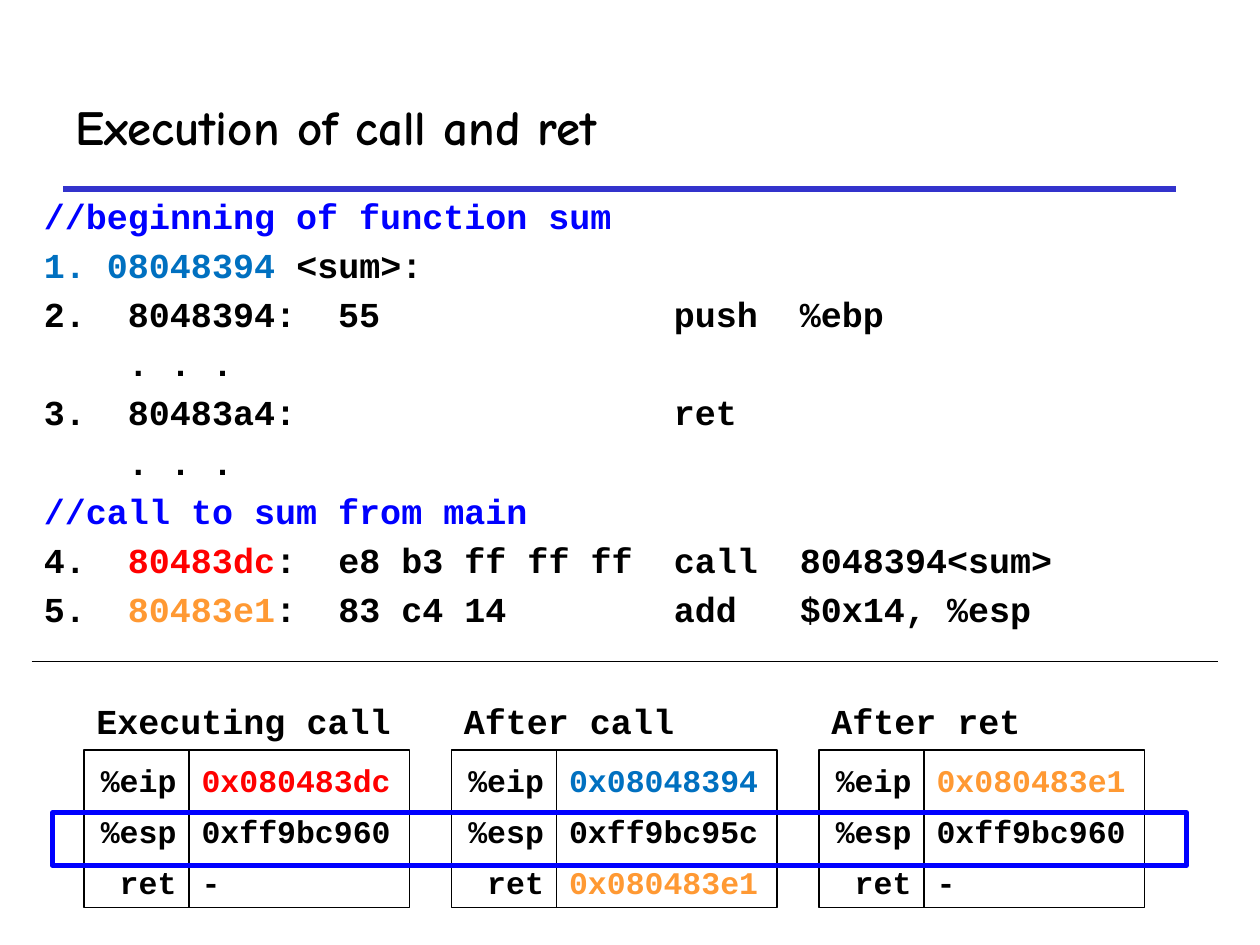
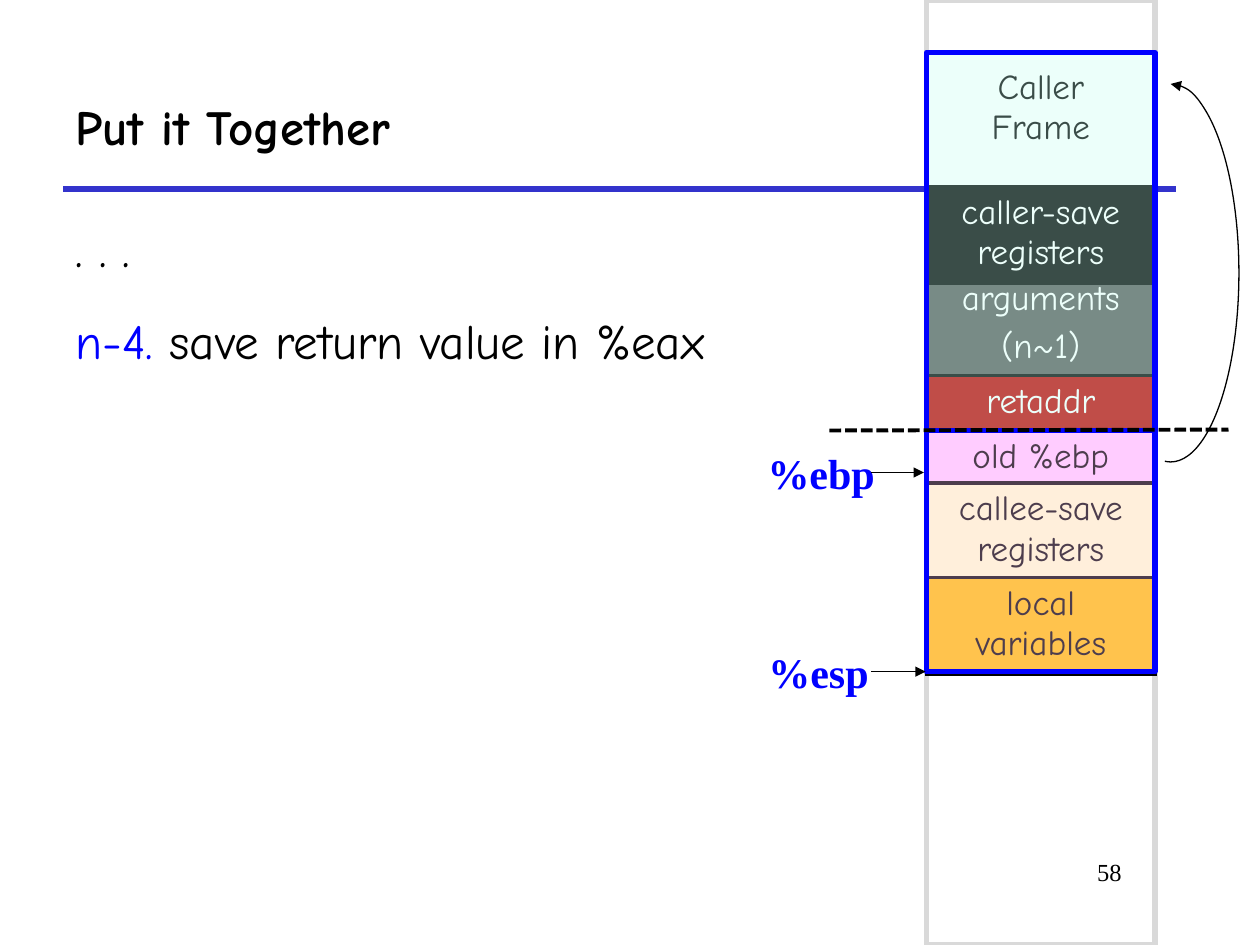
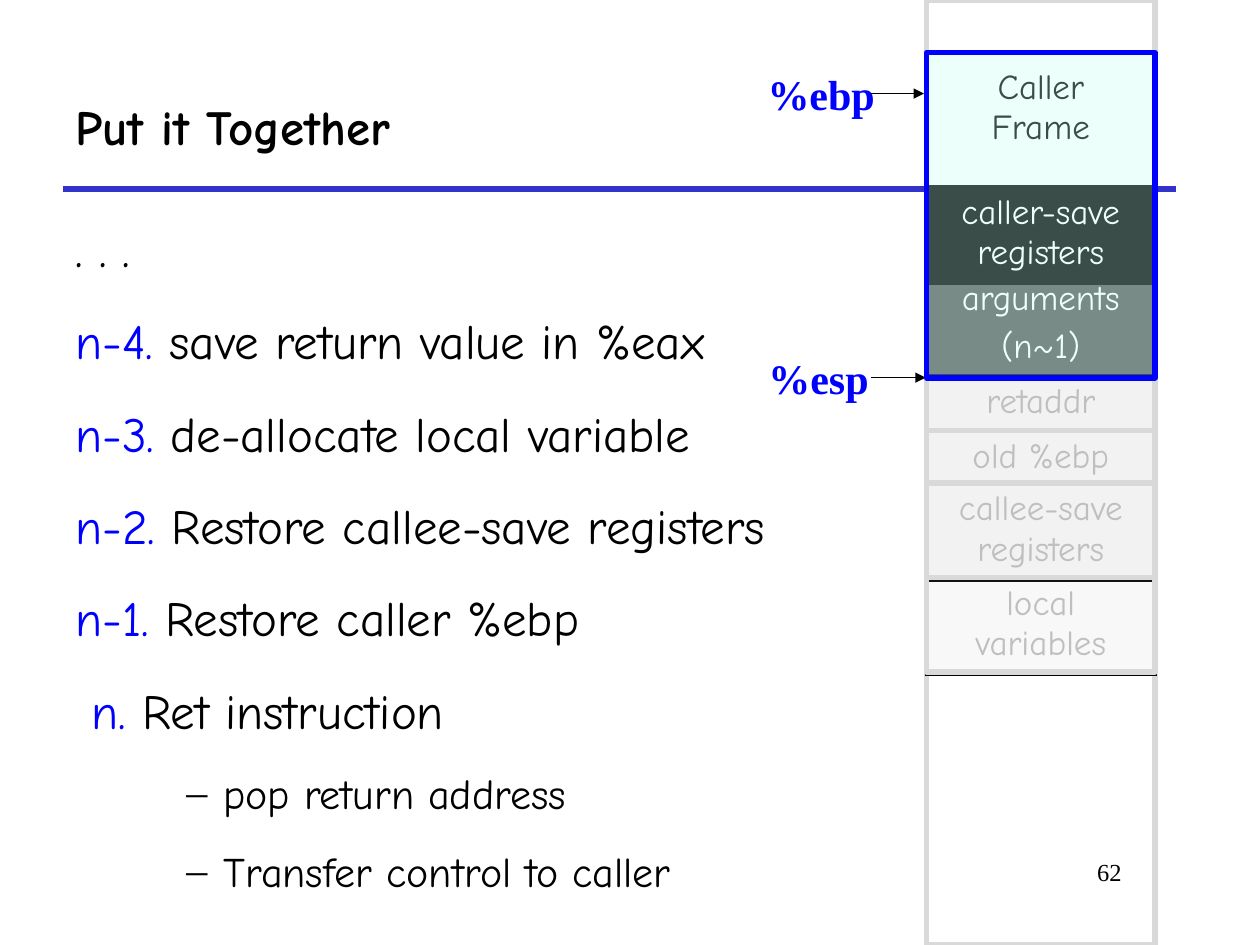
import pptx
import pptx.dml.color
import pptx.enum.dml
import pptx.enum.shapes
import pptx.enum.text
import pptx.oxml
import pptx.oxml.ns
import pptx.util
from lxml import etree

Pt = pptx.util.Pt
RGBColor = pptx.dml.color.RGBColor
ALIGN = pptx.enum.text.PP_ALIGN
ANCHOR = pptx.enum.text.MSO_ANCHOR
SHAPE = pptx.enum.shapes.MSO_SHAPE
qn = pptx.oxml.ns.qn

BLACK = RGBColor(0x00, 0x00, 0x00)
WHITE = RGBColor(0xFF, 0xFF, 0xFF)
RULE = RGBColor(0x33, 0x33, 0xCC)
BLUE = RGBColor(0x00, 0x00, 0xFF)
SKY = RGBColor(0x00, 0x70, 0xC0)
RED = RGBColor(0xFF, 0x00, 0x00)
ORANGE = RGBColor(0xFF, 0x99, 0x33)
RAIL = RGBColor(0xD9, 0xD9, 0xD9)
MINT = RGBColor(0xC2, 0xFF, 0xF0)
PINK = RGBColor(0xFF, 0xCC, 0xFF)
CREAM = RGBColor(0xFF, 0xFF, 0xCC)
AMBER = RGBColor(0xFF, 0xC0, 0x00)
BRICK = RGBColor(0xC0, 0x00, 0x00)
DARK_GRAY = RGBColor(0x59, 0x59, 0x59)
PALE = RGBColor(0xF2, 0xF2, 0xF2)
FADED = RGBColor(0xBF, 0xBF, 0xBF)

COMIC, MONO, SERIF = "Comic Neue", "Courier New", "Times New Roman"

# Slide 1: code listing as (line number, spans)
CODE = [
    (None, [("//beginning of function sum", BLUE)]),
    (1, [("08048394", SKY), (" <sum>:", BLACK)]),
    (2, [(" 8048394:  55\t\t\tpush\t%ebp", BLACK)]),
    (None, [("    . . .", BLACK)]),
    (3, [(" 80483a4:\t\t\tret", BLACK)]),
    (None, [("    . . .", BLACK)]),
    (None, [("//call to sum from main", BLUE)]),
    (4, [(" ", BLACK), ("80483dc", RED),
         (":  e8 b3 ff ff ff \tcall\t8048394<sum>", BLACK)]),
    (5, [(" ", BLACK), ("80483e1", ORANGE),
         (":  83 c4 14\t\tadd\t$0x14, %esp", BLACK)]),
]

# Slide 1: register values at each moment
REGISTERS = ["%eip", "%esp", "ret"]
MOMENTS = [
    ("Executing call", [("0x080483dc", RED), ("0xff9bc960", BLACK), ("-", BLACK)]),
    ("After call", [("0x08048394", SKY), ("0xff9bc95c", BLACK), ("0x080483e1", ORANGE)]),
    ("After ret", [("0x080483e1", ORANGE), ("0xff9bc960", BLACK), ("-", BLACK)]),
]

# Slides 2 and 3: steps as (label, text); without a label the text stands alone
STEPS = [
    ("", ". . ."),
    ("n-4. ", "save return value in %eax"),
    ("n-3. ", "de-allocate local variable"),
    ("n-2. ", "Restore callee-save registers"),
    ("n-1. ", "Restore caller %ebp"),
    ("n. ", "Ret instruction"),
]
RET_DETAILS = ["pop return address", "Transfer control to caller"]

# Stack cells, back to front: text lines, top, height, fill, font colour
CALLER_CELLS = [
    (["arguments", "(n~1)"], 156, 60, DARK_GRAY, WHITE),
    (["caller-save registers"], 106.5, 55.5, BLACK, WHITE),
    (["Caller\nFrame"], 30, 216, None, BLACK),
]
CALLEE_CELLS = [
    (["old %ebp"], 246, 31, PINK, BLACK),
    (["retaddr"], 214.5, 31, BRICK, WHITE),
    (["callee-save registers"], 276, 55.5, CREAM, BLACK),
    (["local variables"], 330, 55.5, AMBER, BLACK),
]
RELEASED_FRAMES = [(330, 54), (276, 54), (246, 30), (216, 30)]
STACK_LEFT, STACK_WIDTH = 529.5, 130.5


def format_runs(para, font, size, color, bold=False):
    for span in para.runs:
        span.font.name = font
        span.font.size = Pt(size)
        span.font.bold = bold
        span.font.color.rgb = color


def add_spans(para, spans, font, size, bold=False):
    for text, color in spans:
        span = para.add_run()
        span.text = text
        span.font.name, span.font.size, span.font.bold = font, Pt(size), bold
        span.font.color.rgb = color


def add_bullet(para, left, hanging, tag, font=None, **attributes):
    props = para._p.get_or_add_pPr()
    props.set("marL", str(Pt(left)))
    props.set("indent", str(Pt(-hanging)))
    if font:
        etree.SubElement(props, qn("a:buFont"), typeface=font)
    etree.SubElement(props, qn(tag), **attributes)


def add_box(page, left, top, width, height):
    box = page.shapes.add_textbox(Pt(left), Pt(top), Pt(width), Pt(height))
    box.text_frame.word_wrap = True
    return box.text_frame


def add_label(page, text, place, font, size, color=BLACK, bold=True):
    frame = add_box(page, *place)
    frame.text = text
    format_runs(frame.paragraphs[0], font, size, color, bold)
    return frame


def set_alpha(element, percent):
    fill_color = list(element.iter(qn("a:srgbClr")))[-1]
    etree.SubElement(fill_color, qn("a:alpha"), val=str(percent * 1000))


def add_frame(page, left, top, width, height, color, weight, tint=None, kind=SHAPE.RECTANGLE):
    shape = page.shapes.add_shape(kind, Pt(left), Pt(top), Pt(width), Pt(height))
    shape.shadow.inherit = False
    if tint is None:
        shape.fill.background()
    else:
        shape.fill.solid()
        shape.fill.fore_color.rgb = tint
        set_alpha(shape.element.spPr, 30)
    shape.line.color.rgb = color
    shape.line.width = Pt(weight)
    return shape


def add_arrowhead(shape, end):
    etree.SubElement(shape.line._get_or_add_ln(), qn(end), type="triangle")


def add_line(page, x1, y1, x2, y2, color=BLACK, weight=0.75):
    line = page.shapes.add_connector(
        pptx.enum.shapes.MSO_CONNECTOR.STRAIGHT, Pt(x1), Pt(y1), Pt(x2), Pt(y2))
    line.line.color.rgb = color
    line.line.width = Pt(weight)
    etree.SubElement(line._element.spPr, qn("a:effectLst"))
    return line


def add_table(page, left, top, widths, row_height, row_count):
    table = page.shapes.add_table(
        row_count, len(widths), Pt(left), Pt(top),
        Pt(sum(widths)), Pt(row_height * row_count)).table
    table.first_row = table.horz_banding = False
    for column, width in zip(table.columns, widths):
        column.width = Pt(width)
    for row in table.rows:
        row.height = Pt(row_height)
    return table


def fill_cell(cell, color):
    if color is None:
        cell.fill.background()
    else:
        cell.fill.solid()
        cell.fill.fore_color.rgb = color


def start_page(deck, title, rail=False):
    page = deck.slides.add_slide(deck.slide_layouts[6])
    add_line(page, 36, 108, 672, 108, RULE, 3)
    if rail:
        add_frame(page, STACK_LEFT, 0, STACK_WIDTH, 540, RAIL, 3)
    frame = add_label(page, title, (36, 36, 636, 72), COMIC, 28)
    frame.vertical_anchor = ANCHOR.MIDDLE
    return page


def add_code(page):
    frame = add_box(page, 18, 108, 636, 276)
    frame.margin_top = Pt(3)
    for index, (number, spans) in enumerate(CODE):
        para = frame.paragraphs[0] if index == 0 else frame.add_paragraph()
        if index:
            para.space_before = Pt(4.1)
        para._p.get_or_add_pPr().set("defTabSz", str(Pt(72)))
        if number:
            add_bullet(para, 36, 36, "a:buAutoNum", type="arabicPeriod", startAt=str(number))
        add_spans(para, spans, MONO, 20, True)


def add_registers(page, left, heading, values):
    top, name_width, value_width = 428.5, 60, 126
    right = left + name_width + value_width
    table = add_table(page, left, 434, [name_width, value_width], 29.3, len(REGISTERS))
    for row, (name, (value, color)) in enumerate(zip(REGISTERS, values)):
        for column, (text, ink) in enumerate([(name, BLACK), (value, color)]):
            cell = table.cell(row, column)
            fill_cell(cell, WHITE)
            cell.text_frame.text = text
            para = cell.text_frame.paragraphs[0]
            para.alignment = ALIGN.LEFT if column else ALIGN.RIGHT
            format_runs(para, MONO, 18, ink, True)
    add_frame(page, left, top, right - left, 90, BLACK, 0.75)
    for y in (top + 36, top + 66):
        add_line(page, left, y, right, y)
    add_line(page, left + name_width, top, left + name_width, top + 90)
    add_label(page, heading, (left, 396, right - left, 32), MONO, 20)


def add_steps(page, steps, details=()):
    frame = add_box(page, 36, 108, 684, 402)
    for index, (label, text) in enumerate(steps):
        para = frame.paragraphs[0] if index == 0 else frame.add_paragraph()
        para.line_spacing = 1.4
        if index:
            para.space_before = Pt(5.7)
        if label == "n. ":
            para._p.get_or_add_pPr().set("marL", str(Pt(9)))
        spans = [(label, BLUE)] if label else []
        add_spans(para, spans + [(text, BLACK)], COMIC, 28)
    for text in details:
        para = frame.add_paragraph()
        para.line_spacing = 1.4
        para.space_before = Pt(4.5)
        add_bullet(para, 84.5, 21, "a:buChar", font=SERIF, char="–")
        add_spans(para, [(text, BLACK)], COMIC, 24)


def add_stack_cell(page, lines, top, height, fill, ink):
    cell = add_table(page, STACK_LEFT, top, [STACK_WIDTH], height, 1).cell(0, 0)
    props = cell._tc.get_or_add_tcPr()
    for side in ("a:lnL", "a:lnR", "a:lnT", "a:lnB"):
        border = etree.SubElement(props, qn(side), w=str(Pt(2.25)))
        paint = etree.SubElement(border, qn("a:solidFill"))
        etree.SubElement(paint, qn("a:srgbClr"), val=str(BLACK))
    fill_cell(cell, fill)
    if fill == FADED:
        set_alpha(props, 10)
    if fill is None:
        cell.margin_top = Pt(8.8)
    for index, text in enumerate(lines):
        para = cell.text_frame.paragraphs[0] if index == 0 else cell.text_frame.add_paragraph()
        para.text = text
        para.alignment = ALIGN.CENTER
        if index:
            para.space_before = Pt(4)
        format_runs(para, COMIC, 20, ink)


def add_pointer(page, name, y, left, tip):
    add_label(page, name, (left, y - 18, 90, 36.5), SERIF, 24, BLUE)
    add_arrowhead(add_line(page, 498, y, tip, y), "a:tailEnd")


def add_pointers(page, ebp_y, esp_y):
    add_pointer(page, "%ebp", ebp_y, 431.5, 528)
    add_pointer(page, "%esp", esp_y, 432, 529)


def add_page_number(page, number):
    frame = add_label(page, number, (546, 486, 102, 36), SERIF, 14, bold=False)
    frame.paragraphs[0].alignment = ALIGN.RIGHT


def build_call_and_ret(deck):
    page = start_page(deck, "Execution of call and ret")
    add_code(page)
    for index, (heading, values) in enumerate(MOMENTS):
        add_registers(page, 48 + 210 * index, heading, values)
    add_line(page, 18, 378, 696, 378)
    add_frame(page, 30, 464.5, 648, 30, BLUE, 3)


def build_before_return(deck):
    page = start_page(deck, "Put it Together", rail=True)
    add_page_number(page, "58")
    add_steps(page, STEPS[:2])
    for cell in CALLER_CELLS[:2] + CALLEE_CELLS[:2] + CALLER_CELLS[2:]:
        add_stack_cell(page, *cell)
    add_frame(page, STACK_LEFT, 30, STACK_WIDTH, 216, BLUE, 3, MINT)
    for cell in CALLEE_CELLS[2:]:
        add_stack_cell(page, *cell)
    add_frame(page, STACK_LEFT, 246, STACK_WIDTH, 138, BLUE, 3, PINK)
    boundary = add_line(page, 474, 246, 702, 245.5, weight=2.25)
    boundary.line.dash_style = pptx.enum.dml.MSO_LINE.SQUARE_DOT
    add_pointers(page, 270, 383.8)
    # Saved %ebp points back into the caller frame
    link = add_frame(page, 630, 48, 78, 216, BLACK, 0.75, kind=SHAPE.ARC)
    link.adjustments[0], link.adjustments[1] = 162, 55.06
    add_arrowhead(link, "a:headEnd")


def build_after_return(deck):
    page = start_page(deck, "Put it Together", rail=True)
    add_page_number(page, "62")
    add_steps(page, STEPS, RET_DETAILS)
    released = [(lines, top, height, FADED if fill == AMBER else PALE, FADED)
                for lines, top, height, fill, ink in CALLEE_CELLS]
    for cell in CALLER_CELLS[:2] + released[:2] + CALLER_CELLS[2:] + released[2:]:
        add_stack_cell(page, *cell)
    for top, height in RELEASED_FRAMES:
        add_frame(page, STACK_LEFT, top, STACK_WIDTH, height, RAIL, 3)
    add_pointers(page, 53.5, 215.8)
    add_frame(page, STACK_LEFT, 30, STACK_WIDTH, 186, BLUE, 3, MINT)


def main():
    deck = pptx.Presentation()
    deck.slide_width, deck.slide_height = Pt(720), Pt(540)
    build_call_and_ret(deck)
    build_before_return(deck)
    build_after_return(deck)
    deck.save("out.pptx")


if __name__ == "__main__":
    main()
